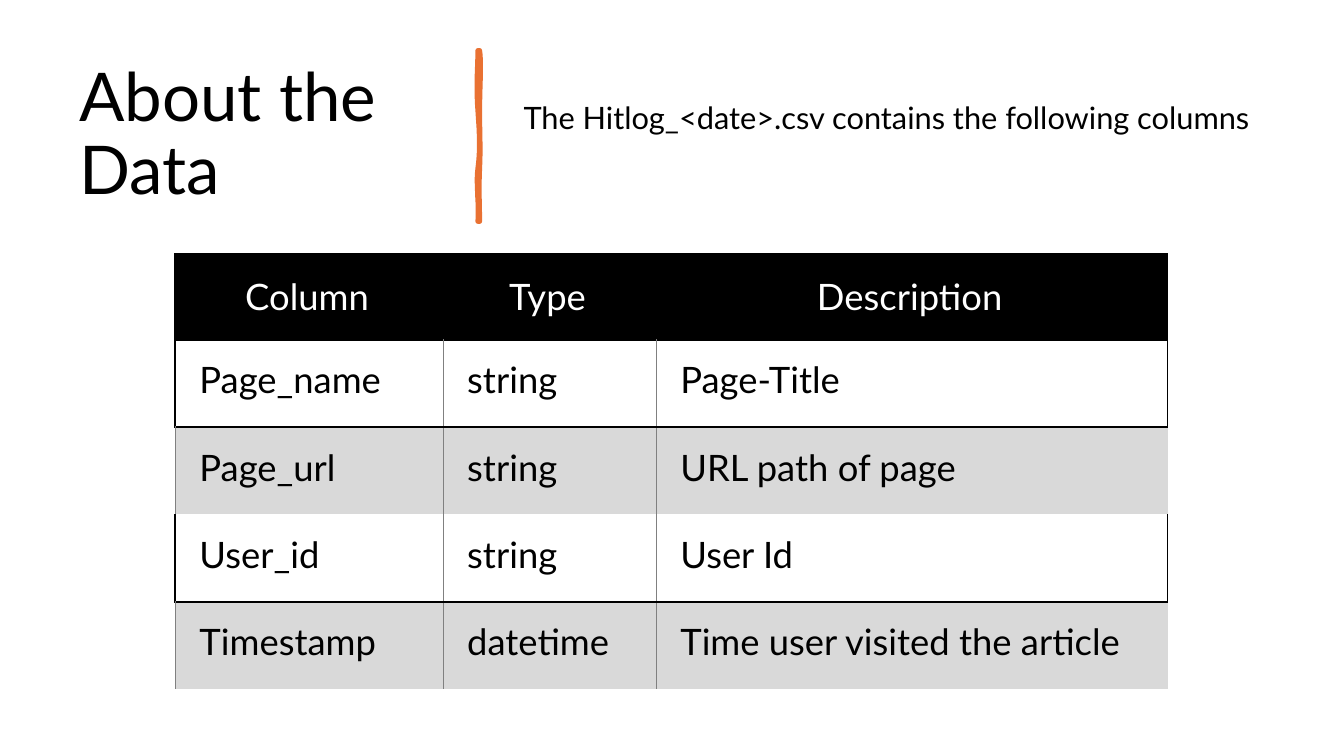
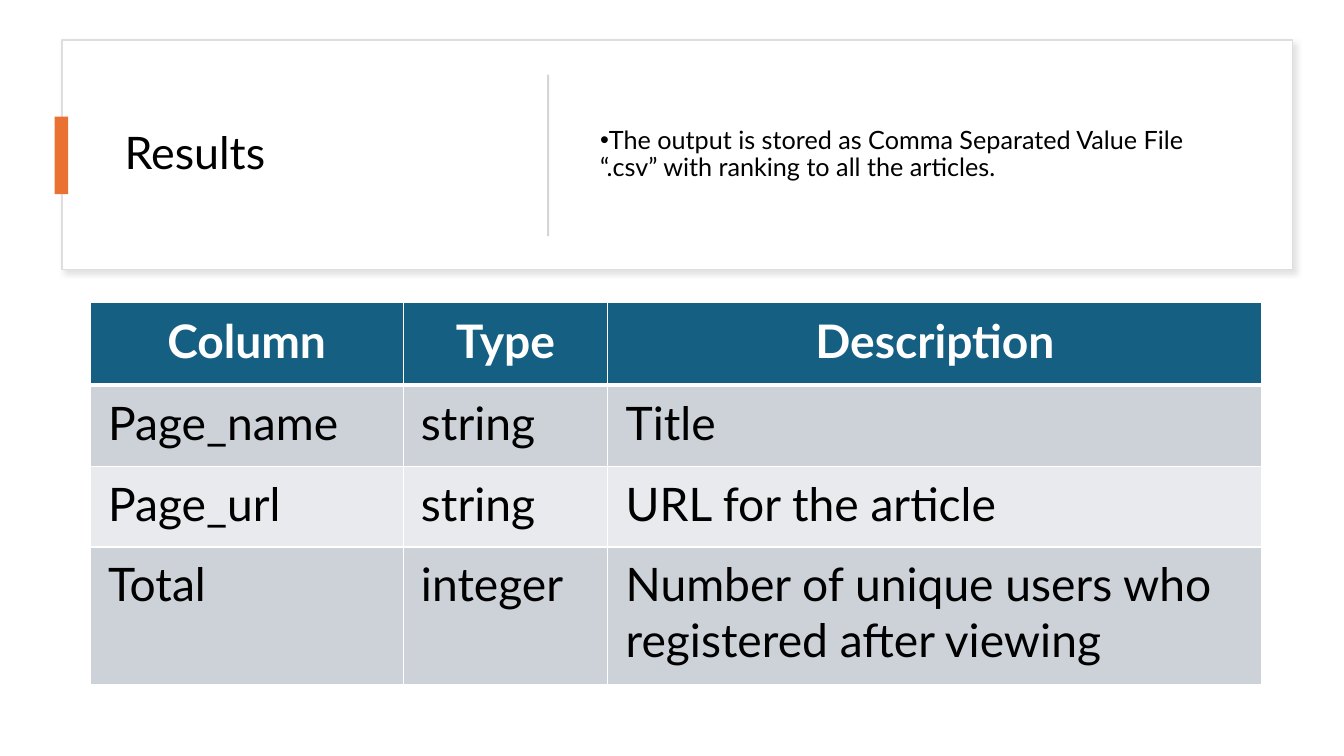
from dataclasses import dataclass
from typing import Any, NamedTuple, Optional

from pptx import Presentation
from pptx.dml.color import RGBColor
from pptx.enum.shapes import MSO_SHAPE as Shape
from pptx.enum.text import MSO_ANCHOR as Anchor, MSO_AUTO_SIZE as AutoSize, PP_ALIGN as Align
from pptx.oxml import parse_xml
from pptx.oxml.ns import nsdecls
from pptx.util import Emu, Pt

PX = 9525
FONT = "Lato"
BLACK, WHITE, ORANGE = "000000", "FFFFFF", "E97132"
NO_GRID_STYLE = "{2D5ABB26-0587-4C30-8999-92F81FD0307C}"


class Box(NamedTuple):
    x: int
    y: int
    w: int
    h: int


class Edge(NamedTuple):
    color: str
    pt: float


class Curve(NamedTuple):
    """Cubic curve: two control points and an end point, in px."""
    c1: tuple[int, int]
    c2: tuple[int, int]
    end: tuple[int, int]


@dataclass(frozen=True)
class Band:
    """Fill and edges of one table row."""
    fill: Optional[str]
    left: Optional[Edge]
    inner: Optional[Edge]
    right: Optional[Edge]
    below: Optional[Edge]


@dataclass(frozen=True)
class TableSpec:
    x: int
    y: int
    cols: tuple[int, ...]
    heights: tuple[int, ...]
    size: int
    margins: tuple[int, int, int, int]
    bands: tuple[Band, ...]
    cells: tuple[tuple[str, ...], ...]
    header_bold: bool = False
    header_anchor: Any = Anchor.TOP


GREY_EDGE, BLACK_EDGE = Edge("808080", 0.5), Edge(BLACK, 1.5)
WHITE_EDGE, HEADER_EDGE = Edge(WHITE, 1), Edge(WHITE, 3)

DARK_HEADER = Band(BLACK, *[BLACK_EDGE] * 4)
OUTLINED = Band(None, BLACK_EDGE, GREY_EDGE, BLACK_EDGE, BLACK_EDGE)
SHADED = Band("D9D9D9", GREY_EDGE, GREY_EDGE, None, None)
BLUE_HEADER = Band("156082", *[WHITE_EDGE] * 3, HEADER_EDGE)
DARKER, LIGHTER = (Band(fill, *[WHITE_EDGE] * 4) for fill in ("CCD2D8", "E8EAED"))

HEADER = ("Column", "Type", "Description")
DATA_TABLE = TableSpec(
    167, 241, (255, 203, 487), (83,) * 5, 26, (23, 17, 27, 17),
    (DARK_HEADER, OUTLINED, SHADED, OUTLINED, SHADED),
    (HEADER,
     ("Page_name", "string", "Page-Title"),
     ("Page_url", "string", "URL path of page"),
     ("User_id", "string", "User Id"),
     ("Timestamp", "datetime", "Time user visited the article")),
    header_anchor=Anchor.MIDDLE)
RESULT_TABLE = TableSpec(
    86, 289, (298, 195, 623), (78, 77, 77, 131), 33, (17, 9, 17, 9),
    (BLUE_HEADER, DARKER, LIGHTER, DARKER),
    (HEADER,
     ("Page_name", "string", "Title"),
     ("Page_url", "string", "URL for the article"),
     ("Total", "integer", "Number of unique users who registered after viewing")),
    header_bold=True)

BRUSH_START = (457, 48)
BRUSH_CURVES = (
    Curve((459, 60), (457, 84), (457, 106)),
    Curve((457, 127), (458, 138), (457, 161)),
    Curve((456, 185), (457, 191), (457, 211)),
    Curve((456, 211), (456, 211), (455, 211)),
    Curve((456, 188), (453, 176), (455, 160)),
    Curve((457, 145), (457, 132), (455, 106)),
    Curve((453, 80), (455, 64), (455, 48)),
)


def px(n: int) -> Emu:
    return Emu(n * PX)


def rgb(color: str) -> RGBColor:
    return RGBColor.from_string(color)


def set_attrs(obj: Any, values: dict[str, Any]) -> None:
    for name, value in values.items():
        setattr(obj, name, value)


def write(tf: Any, text: str, size: int, color: str = BLACK, bold: bool = False,
          **para: Any) -> Any:
    p = tf.paragraphs[0]
    set_attrs(p, {"alignment": Align.LEFT, **para})
    r = p.add_run()
    r.text = text
    set_attrs(r.font, {"name": FONT, "size": Pt(size), "bold": bold})
    r.font.color.rgb = rgb(color)
    return p


def fill_placeholder(sp: Any, box: Box, text: str, size: int, after: int = 0) -> Any:
    set_attrs(sp, dict(zip(("left", "top", "width", "height"), map(px, box))))
    set_attrs(sp.text_frame, {"word_wrap": True, "auto_size": AutoSize.NONE,
                              "vertical_anchor": Anchor.MIDDLE})
    return write(sp.text_frame, text, size, line_spacing=0.9,
                 space_before=Pt(0), space_after=Pt(after))


def set_bullet(p: Any, char: str = "", hang: int = 0) -> None:
    """Set a hanging bullet, or none when char is empty."""
    pPr = p._p.get_or_add_pPr()
    pPr.set("marL", "0")
    pPr.set("indent", str(-px(hang)))
    tag = f'buChar char="{char}"' if char else "buNone"
    pPr.append(parse_xml(f'<a:{tag} {nsdecls("a")}/>'))


def paint(sp: Any, fill: str, edge: Optional[Edge] = None) -> None:
    sp.shadow.inherit = False
    sp.fill.solid()
    sp.fill.fore_color.rgb = rgb(fill)
    if edge:
        sp.line.color.rgb = rgb(edge.color)
        sp.line.width = Pt(edge.pt)
    else:
        sp.line.fill.background()


def add_rect(s: Any, box: Box, fill: str, edge: Optional[Edge] = None) -> Any:
    sp = s.shapes.add_shape(Shape.RECTANGLE, *map(px, box))
    paint(sp, fill, edge)
    return sp


def add_soft_shadow(sp: Any) -> None:
    effects = sp.element.spPr.find("{*}effectLst")
    effects.append(parse_xml(
        f'<a:outerShdw {nsdecls("a")} blurRad="{Pt(4)}" dist="{Pt(3)}" dir="2700000" '
        'algn="tl" rotWithShape="0"><a:srgbClr val="C5C5C5"><a:alpha val="50000"/>'
        '</a:srgbClr></a:outerShdw>'))


def add_brush_stroke(s: Any, steps: int = 10, fine: int = 25) -> None:
    """Draw the curves as short segments on a grid finer than a px."""
    start = BRUSH_START
    points = []
    for curve in BRUSH_CURVES:
        for i in range(1, steps + 1):
            t = i / steps
            weights = ((1 - t) ** 3, 3 * t * (1 - t) ** 2, 3 * t * t * (1 - t), t ** 3)
            points.append(tuple(round(fine * sum(w * v for w, v in zip(weights, axis)))
                                for axis in zip(start, *curve)))
        start = curve.end
    x, y = BRUSH_START
    builder = s.shapes.build_freeform(x * fine, y * fine, scale=PX / fine)
    builder.add_line_segments(points, close=True)
    paint(builder.convert_to_shape(), ORANGE, Edge(ORANGE, 3.25))


def set_edge(cell: Any, side: str, edge: Optional[Edge]) -> None:
    width = Pt(edge.pt) if edge else 0
    fill = (f'<a:solidFill><a:srgbClr val="{edge.color}"/></a:solidFill>'
            if edge else "<a:noFill/>")
    cell._tc.get_or_add_tcPr().append(parse_xml(
        f'<a:ln{side} {nsdecls("a")} w="{width}">{fill}</a:ln{side}>'))


def add_data_table(s: Any, spec: TableSpec) -> None:
    cols, heights = spec.cols, spec.heights
    frame = s.shapes.add_table(len(heights), len(cols), px(spec.x), px(spec.y),
                               px(sum(cols)), px(sum(heights)))
    table = frame.table
    table.horz_banding = False
    table._tbl.tblPr.find("{*}tableStyleId").text = NO_GRID_STYLE
    for col, width in zip(table.columns, cols):
        col.width = px(width)
    above = None
    for i, (band, texts) in enumerate(zip(spec.bands, spec.cells)):
        table.rows[i].height = px(heights[i])
        sides = [band.left, *[band.inner] * (len(cols) - 1), band.right]
        header = i == 0
        for j, text in enumerate(texts):
            cell = table.cell(i, j)
            for side, edge in zip("LRTB", (sides[j], sides[j + 1], above, band.below)):
                set_edge(cell, side, edge)
            if band.fill:
                cell.fill.solid()
                cell.fill.fore_color.rgb = rgb(band.fill)
            else:
                cell.fill.background()
            names = ("margin_left", "margin_top", "margin_right", "margin_bottom")
            set_attrs(cell, dict(zip(names, map(px, spec.margins))))
            cell.vertical_anchor = spec.header_anchor if header else Anchor.TOP
            write(cell.text_frame, text, spec.size, WHITE if header else BLACK,
                  header and spec.header_bold,
                  alignment=Align.CENTER if header else Align.LEFT)
        above = band.below


def add_about_slide(prs: Any) -> None:
    s = prs.slides.add_slide(prs.slide_layouts[1])
    fill_placeholder(s.shapes.title, Box(66, 53, 359, 154), "About the Data", 48)
    p = fill_placeholder(s.placeholders[1], Box(489, 53, 724, 121),
                         "The Hitlog_<date>.csv contains the following columns", 22)
    set_bullet(p)
    add_brush_stroke(s)
    add_data_table(s, DATA_TABLE)


def add_results_slide(prs: Any) -> None:
    s = prs.slides.add_slide(prs.slide_layouts[1])
    title = s.shapes.title
    card = add_rect(s, Box(59, 38, 1172, 219), WHITE, Edge("DEDEDE", 1))
    add_soft_shadow(card)
    title.element.addprevious(card.element)
    fill_placeholder(title, Box(109, 61, 373, 173), "Results", 32)
    p = fill_placeholder(s.placeholders[1], Box(562, 61, 630, 173),
                         "The output is stored as Comma Separated Value File “.csv” "
                         "with ranking to all the articles.", 18, after=6)
    set_bullet(p, "•", hang=24)
    add_rect(s, Box(52, 111, 13, 74), ORANGE)
    add_rect(s, Box(521, 71, 2, 154), "D5D5D5")
    add_data_table(s, RESULT_TABLE)


def main() -> None:
    prs = Presentation()
    prs.slide_width, prs.slide_height = px(1280), px(720)
    add_about_slide(prs)
    add_results_slide(prs)
    prs.save("out.pptx")


if __name__ == "__main__":
    main()
